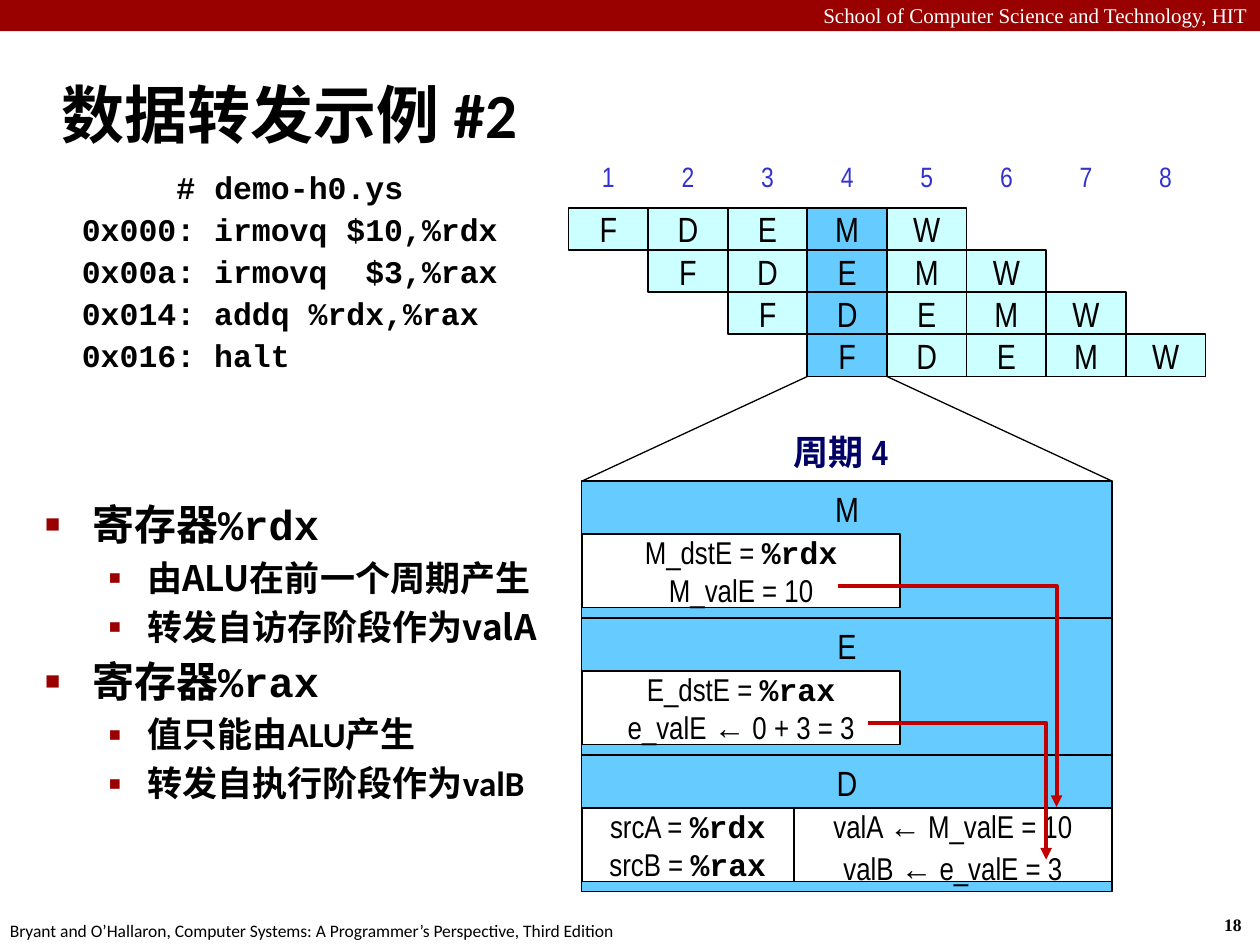
from lxml import etree
from pptx import Presentation
from pptx import util as u
from pptx.dml import color
from pptx.enum import shapes, text
from pptx.oxml import ns

Cm, Pt = u.Cm, u.Pt
COLORS = {
    "black": "000000", "white": "FFFFFF", "red": "990000", "arrow": "C00000",
    "number": "3333CC", "navy": "000066", "pale": "CCFFFF", "blue": "66CCFF",
}
NARROW, MONO, SANS, CJK = "Arial Narrow", "Courier New", "Calibri", "Noto Sans CJK SC"
SERIF = "Times New Roman"
LEFT, CENTER, RIGHT = text.PP_ALIGN.LEFT, text.PP_ALIGN.CENTER, text.PP_ALIGN.RIGHT
TOP, MIDDLE = text.MSO_ANCHOR.TOP, text.MSO_ANCHOR.MIDDLE
GRID_X, GRID_Y, COL_W, ROW_H = 11.46, 4.19, 1.605, 0.85
STAGE_X, STAGE_Y, STAGE_W, STAGE_H = 11.73, 9.7, 10.69, 2.76
PANEL_W, PANEL_H, PANEL_DY, SPLIT_W = 6.42, 1.48, 1.07, 4.27
FOCUS = 3


def rgb(name):
    return color.RGBColor.from_string(COLORS[name])


def add_runs(p, runs, size, col):
    for content, font, bold in runs:
        r = p.add_run()
        r.text = content
        r.font.name, r.font.size, r.font.bold = font, Pt(size), bold
        r.font.color.rgb = rgb(col)
        ea = etree.SubElement(r._r.get_or_add_rPr(), ns.qn("a:ea"))
        ea.set("typeface", CJK)


def write(sp, paras, size, col="black", align=CENTER, anchor=MIDDLE, wrap=False, spacing=None):
    tf = sp.text_frame
    tf.word_wrap, tf.vertical_anchor = wrap, anchor
    for i, runs in enumerate(paras):
        p = tf.add_paragraph() if i else tf.paragraphs[0]
        p.alignment = align
        if spacing:
            p.line_spacing = spacing
        add_runs(p, runs, size, col)


def add_box(s, x, y, w, h, fill, line=None):
    sp = s.shapes.add_shape(shapes.MSO_SHAPE.RECTANGLE, Cm(x), Cm(y), Cm(w), Cm(h))
    sp.shadow.inherit = False
    sp.fill.solid()
    sp.fill.fore_color.rgb = rgb(fill)
    if line:
        sp.line.color.rgb, sp.line.width = rgb("black"), Pt(line)
    else:
        sp.line.fill.background()
    return sp


def add_label(s, x, y, w, h, content, font, size, bold=False, **style):
    sp = s.shapes.add_textbox(Cm(x), Cm(y), Cm(w), Cm(h))
    write(sp, [[(content, font, bold)]], size, **style)


def add_line(s, x1, y1, x2, y2):
    ln = s.shapes.add_connector(shapes.MSO_CONNECTOR.STRAIGHT, Cm(x1), Cm(y1), Cm(x2), Cm(y2))
    ln.line.color.rgb, ln.line.width = rgb("black"), Pt(0.75)
    etree.SubElement(ln._element.spPr, ns.qn("a:effectLst"))


def add_forward_arrow(s, x1, y1, x2, y2):
    fb = s.shapes.build_freeform(Cm(x1), Cm(y1))
    fb.add_line_segments([(Cm(x2), Cm(y1)), (Cm(x2), Cm(y2))], close=False)
    sp = fb.convert_to_shape()
    sp.shadow.inherit = False
    sp.fill.background()
    sp.line.color.rgb, sp.line.width = rgb("arrow"), Pt(2.25)
    etree.SubElement(sp.line._get_or_add_ln(), ns.qn("a:tailEnd")).set("type", "triangle")


def add_bullet(p, char, percent, margin, hang):
    pPr = p._p.get_or_add_pPr()
    pPr.set("marL", str(Cm(margin)))
    pPr.set("indent", str(-Cm(hang)))
    clr = etree.SubElement(pPr, ns.qn("a:buClr"))
    etree.SubElement(clr, ns.qn("a:srgbClr")).set("val", COLORS["red"])
    for tag, key, value in (("a:buSzPct", "val", str(percent * 1000)),
                            ("a:buFont", "typeface", "Arial"),
                            ("a:buChar", "char", char)):
        etree.SubElement(pPr, ns.qn(tag)).set(key, value)


def add_bullets(s):
    items = [
        (0, [("寄存器", SANS, True), ("%rdx", MONO, True)]),
        (1, [("由ALU在前一个周期产生", CJK, True)]),
        (1, [("转发自访存阶段作为valA", CJK, True)]),
        (0, [("寄存器", SANS, True), ("%rax", MONO, True)]),
        (1, [("值只能由ALU产生", SANS, True)]),
        (1, [("转发自执行阶段作为valB", SANS, True)]),
    ]
    levels = [("■", 60, 0.95, 0.95), ("▪", 110, 2.06, 0.79)]
    tf = s.shapes.add_textbox(Cm(0.66), Cm(9.93), Cm(10.44), Cm(9.75)).text_frame
    tf.word_wrap = True
    for i, (level, runs) in enumerate(items):
        p = tf.add_paragraph() if i else tf.paragraphs[0]
        p.level = level
        add_bullet(p, *levels[level])
        size = (24, 20)[level]
        if i:
            p.space_before = Pt(size * 0.2)
        add_runs(p, runs, size, "black")


def add_frame(s):
    add_box(s, 0, 0, 25.4, 0.63, "red")
    add_label(s, 0, -0.08, 25.4, 0.76, "School of Computer Science and Technology, HIT", SERIF, 12,
              col="white", align=RIGHT, anchor=TOP, wrap=True)
    add_label(s, 24.43, 18.31, 0.94, 0.69, "18", SERIF, 10, True, align=LEFT, anchor=TOP)
    add_label(s, -0.05, 18.42, 12.9, 0.69,
              "Bryant and O’Hallaron, Computer Systems: A Programmer’s Perspective, Third Edition",
              SANS, 10, align=LEFT, anchor=TOP)
    add_label(s, 0.99, 1.22, 24.41, 2.11, "数据转发示例 #2", SANS, 36, True, align=LEFT, wrap=True)


def add_code(s):
    add_label(s, 1.3, GRID_Y - ROW_H, 9.09, ROW_H, "# demo-h0.ys", MONO, 18, True)
    lines = ["0x000: irmovq $10,%rdx", "0x00a: irmovq  $3,%rax",
             "0x014: addq %rdx,%rax", "0x016: halt"]
    for i, line in enumerate(lines):
        add_label(s, 1.4, GRID_Y + i * ROW_H, 9.09, ROW_H, line, MONO, 18, True, align=LEFT)


def add_pipeline(s):
    for col in range(8):
        add_label(s, GRID_X + col * COL_W, 3.12, COL_W, ROW_H, str(col + 1), NARROW, 16, col="number")
    for row in range(4):
        for col, stage in enumerate("FDEMW", row):
            fill = "blue" if col == FOCUS else "pale"
            sp = add_box(s, GRID_X + col * COL_W, GRID_Y + row * ROW_H, COL_W, ROW_H, fill, 1)
            write(sp, [[(stage, NARROW, False)]], 20)


def add_panel(s, x, stage, w, paras, spacing=None):
    y = STAGE_Y + stage * STAGE_H + PANEL_DY
    write(add_box(s, x, y, w, PANEL_H, "white", 1), paras, 18, spacing=spacing)


def pair(name, register):
    return [(name + " = ", NARROW, False), (register, MONO, True)]


def assign(name, value):
    return [(name + " ", NARROW, False), ("←", "Arial", False), (" " + value, NARROW, False)]


def add_cycle(s):
    bottom, focus_x = GRID_Y + 4 * ROW_H, GRID_X + FOCUS * COL_W
    add_line(s, focus_x, bottom, STAGE_X, STAGE_Y)
    add_line(s, focus_x + COL_W, bottom, STAGE_X + STAGE_W, STAGE_Y)
    add_label(s, 13.61, 8.64, 6.68, 1.02, "周期 4", NARROW, 20, True,
              col="navy", anchor=TOP, wrap=True, spacing=0.9)
    for i, stage in enumerate("MED"):
        sp = add_box(s, STAGE_X, STAGE_Y + i * STAGE_H, STAGE_W, STAGE_H, "blue", 0.75)
        write(sp, [[(stage, NARROW, False)]], 20, anchor=TOP)
    add_panel(s, STAGE_X, 0, PANEL_W, [pair("M_dstE", "%rdx"), [("M_valE = 10", NARROW, False)]])
    add_panel(s, STAGE_X, 1, PANEL_W, [pair("E_dstE", "%rax"), assign("e_valE", "0 + 3 = 3")])
    add_panel(s, STAGE_X, 2, SPLIT_W, [pair("srcA", "%rdx"), pair("srcB", "%rax")])
    add_panel(s, STAGE_X + SPLIT_W, 2, STAGE_W - SPLIT_W,
              [assign("valA", "M_valE = 10"), assign("valB", "e_valE = 3")], 1.1)
    add_forward_arrow(s, 16.9, 11.81, 21.3, 16.27)
    add_forward_arrow(s, 17.5, 14.57, 21.09, 17.33)


def main():
    prs = Presentation()
    prs.slide_width, prs.slide_height = Cm(25.4), Cm(19.05)
    s = prs.slides.add_slide(prs.slide_layouts[6])
    add_frame(s)
    add_bullets(s)
    add_code(s)
    add_pipeline(s)
    add_cycle(s)
    prs.save("out.pptx")


if __name__ == "__main__":
    main()
